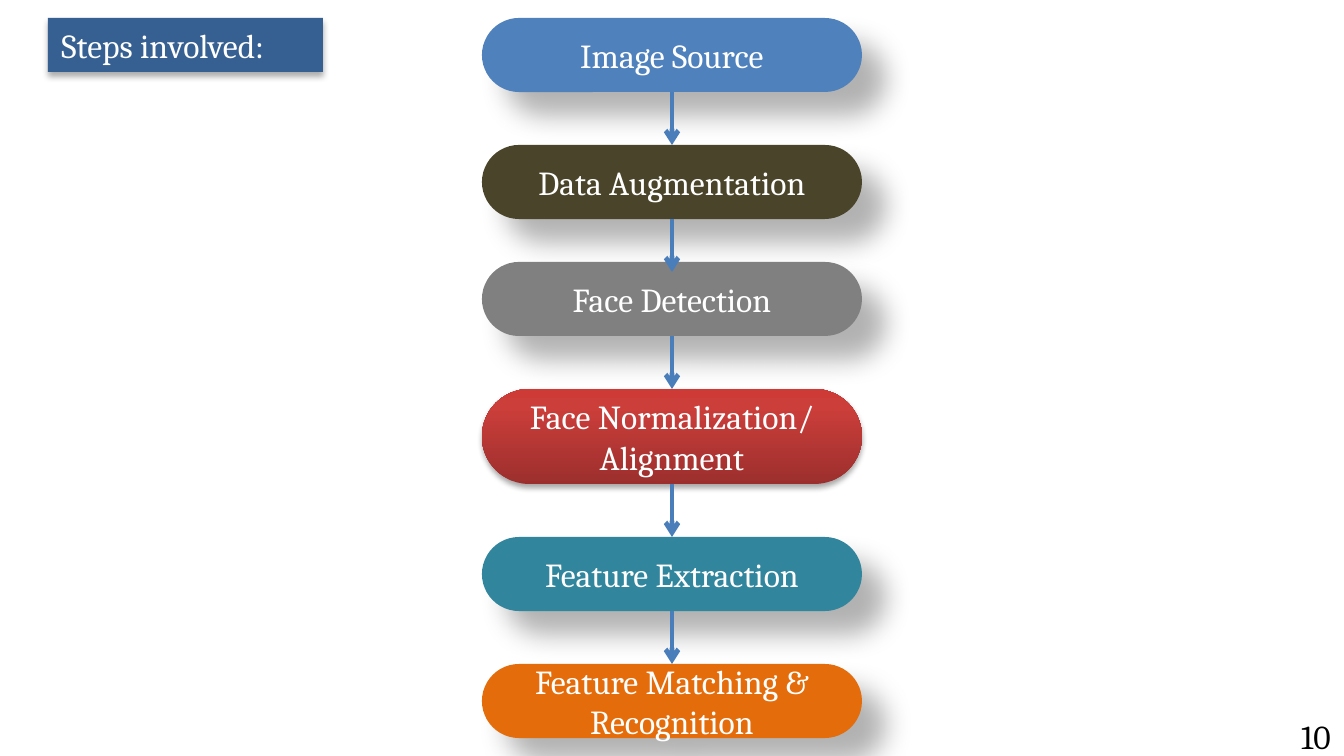
"""Build the flow slide of the face recognition steps."""
from copy import deepcopy
from typing import NamedTuple

from pptx import Presentation, util as u
from pptx.dml.color import RGBColor
from pptx.enum import shapes as sh, text as tx
from pptx.oxml import ns, xmlchemy as xc

SCALE = 914400 / 134.4
LEFT, TOP, WIDTH, HIGH, GAP = 482, 18, 380, 74, 53


class Shade(NamedTuple):
    alpha: int
    blur: float
    dist: float
    angle: int


class Step(NamedTuple):
    label: str
    fills: tuple
    high: int = HIGH
    gap: int = GAP
    shade: Shade = Shade(30, 15, 18, 45)


STEPS = (
    Step("Image Source", ("4F81BD",)),
    Step("Data Augmentation", ("4A452A",), gap=43),
    Step("Face Detection", ("808080",)),
    Step("Face Normalization/\nAlignment", ("9C2F2D", "CB3E3A", "CE3B37"),
         high=95, shade=Shade(35, 3.1, 1.8, 90)),
    Step("Feature Extraction", ("31859C",)),
    Step("Feature Matching & Recognition", ("E46C0A",)),
)


def px(*vals: int) -> list:
    """Turn picture pixels into EMU."""
    return [u.Emu(round(v * SCALE)) for v in vals]


def tint(hue: str) -> RGBColor:
    """Turn a hex string into a colour."""
    return RGBColor.from_string(hue)


def apply(obj, **vals) -> None:
    """Set each named attribute on an object."""
    for name, val in vals.items():
        setattr(obj, name, val)


def add(root, tag: str, **vals):
    """Append an XML child with attributes."""
    node = xc.OxmlElement(tag)
    for name, val in vals.items():
        node.set(name, str(val))
    root.append(node)
    return node


def cast(shape, shade: Shade) -> None:
    """Give a shape an outer shadow."""
    shape.shadow.inherit = False
    root = shape._element.spPr.find(ns.qn("a:effectLst"))
    drop = add(root, "a:outerShdw", blurRad=u.Pt(shade.blur),
               dist=u.Pt(shade.dist), dir=shade.angle * 60000,
               algn="tl", rotWithShape=0)
    hue = add(drop, "a:srgbClr", val="000000")
    add(hue, "a:alpha", val=shade.alpha * 1000)


def paint(shape, fills: tuple) -> None:
    """Fill a shape with one colour or a rising gradient."""
    shape.line.fill.background()
    if len(fills) == 1:
        shape.fill.solid()
        shape.fill.fore_color.rgb = tint(fills[0])
        return
    shape.fill.gradient()
    shape.fill.gradient_angle = 90
    stops = shape._element.spPr.find(".//" + ns.qn("a:gsLst"))
    stops.append(deepcopy(stops[-1]))
    for stop, hue, pos in zip(shape.fill.gradient_stops, fills, (0, 0.8, 1)):
        stop.color.rgb = tint(hue)
        stop.position = pos


def write(shape, words: str, align: str, anchor: str = "MIDDLE",
          hue: str = "FFFFFF") -> None:
    """Put formatted text in a shape."""
    frame = shape.text_frame
    frame.text = words
    apply(frame, word_wrap=True, auto_size=tx.MSO_AUTO_SIZE.NONE,
          vertical_anchor=tx.MSO_ANCHOR[anchor])
    for para in frame.paragraphs:
        para.alignment = tx.PP_ALIGN[align]
        for run in para.runs:
            apply(run.font, name="Cambria", size=u.Pt(18))
            run.font.color.rgb = tint(hue)


def box(slide, step: Step, top: int) -> None:
    """Draw one step as a pill."""
    pill = slide.shapes.add_shape(sh.MSO_SHAPE.ROUNDED_RECTANGLE,
                                  *px(LEFT, top, WIDTH, step.high))
    pill.adjustments[0] = 0.5
    paint(pill, step.fills)
    cast(pill, step.shade)
    write(pill, step.label, "CENTER")


def arrow(slide, top: int) -> None:
    """Draw a downward arrow below a step."""
    mid = LEFT + WIDTH // 2
    link = slide.shapes.add_connector(sh.MSO_CONNECTOR.STRAIGHT,
                                      *px(mid, top, mid, top + GAP))
    link.line.color.rgb = tint("4A7EBB")
    link.line.width = u.Pt(2.5)
    add(link.line._get_or_add_ln(), "a:tailEnd", type="arrow")
    add(link._element.spPr, "a:effectLst")


def main() -> None:
    """Build and save the slide."""
    deck = Presentation()
    deck.slide_width, deck.slide_height = px(1344, 756)
    slide = deck.slides.add_slide(deck.slide_layouts[5])
    title = slide.shapes.title
    spot = zip(("left", "top", "width", "height"), px(48, TOP, 275, 54))
    apply(title, **dict(spot))
    paint(title, ("376092",))
    cast(title, Shade(32, 3.5, 2.2, 90))
    write(title, "Steps involved:", "LEFT", "TOP")

    top, ends = TOP, []
    for step in STEPS:
        box(slide, step, top)
        ends.append(top + step.high)
        top = ends[-1] + step.gap
    for end in ends[:-1]:
        arrow(slide, end)

    page = slide.shapes.add_textbox(*px(1031, 716, 313, 40))
    write(page, "10", "RIGHT", hue="000000")
    deck.save("out.pptx")


main()
